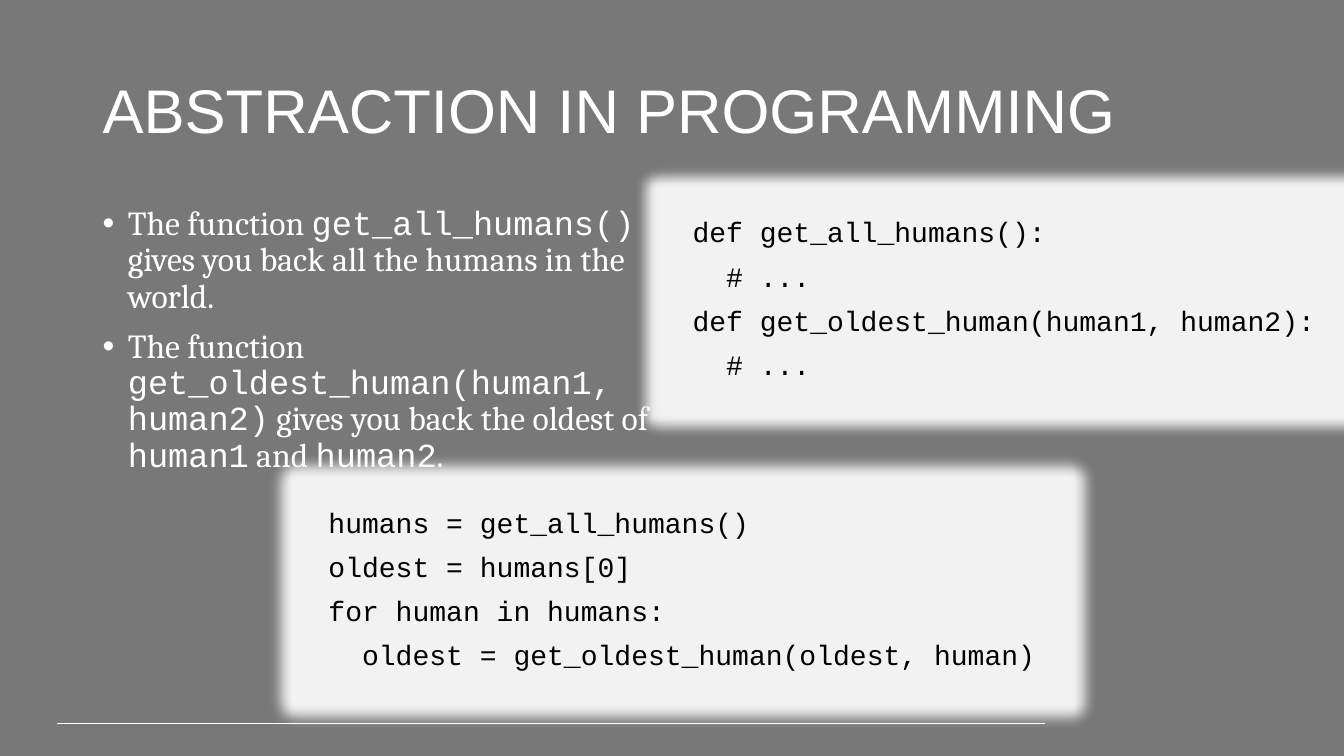
from lxml import etree
from pptx import Presentation
from pptx.dml.color import RGBColor
from pptx.enum.shapes import MSO_CONNECTOR, MSO_SHAPE
from pptx.enum.text import MSO_ANCHOR, PP_ALIGN
from pptx.oxml.ns import qn
from pptx.util import Inches, Pt

RECTANGLE = MSO_SHAPE.RECTANGLE
STRAIGHT = MSO_CONNECTOR.STRAIGHT
TOP, MIDDLE = MSO_ANCHOR.TOP, MSO_ANCHOR.MIDDLE
LEFT = PP_ALIGN.LEFT

COLORS = {"background": "787878", "light": "FFFFFF", "panel": "F2F2F2", "code": "000000"}
TITLE_FONT, BODY_FONT, CODE_FONT = "Arial", "Cambria", "Courier New"
GLOW_RADIUS = Inches(0.25)

TITLE = "ABSTRACTION IN PROGRAMMING"

# Each bullet alternates between prose and code, starting with prose.
BULLETS = [
    ["The function ", "get_all_humans()", " gives you back all the humans in the world."],
    ["The function ", "get_oldest_human(human1, human2)", " gives you back the oldest of ",
     "human1", " and ", "human2", "."],
]

CODE_PANELS = [
    ((6.77, 2.12, 6.38, 1.74), [
        "def get_all_humans():",
        "  # ...",
        "def get_oldest_human(human1, human2):",
        "  # ...",
    ]),
    ((3.16, 5, 7.23, 1.74), [
        "humans = get_all_humans()",
        "oldest = humans[0]",
        "for human in humans:",
        "  oldest = get_oldest_human(oldest, human)",
    ]),
]


def color(name):
    return RGBColor.from_string(COLORS[name])


def add_text_box(slide, box, anchor):
    frame = slide.shapes.add_textbox(*map(Inches, box)).text_frame
    frame.word_wrap = True
    frame.vertical_anchor = anchor
    return frame


def add_paragraphs(frame, count):
    """Yield left-aligned paragraphs, spaced apart after the first."""
    for index in range(count):
        paragraph = frame.add_paragraph() if index else frame.paragraphs[0]
        paragraph.alignment = LEFT
        paragraph.line_spacing = 0.9
        if index:
            paragraph.space_before = Pt(10)
        yield paragraph


def style(paragraph, size, color_name, font_name=None):
    font = paragraph.font
    font.size = Pt(size)
    font.color.rgb = color(color_name)
    if font_name:
        font.name = font_name


def add_bullet(paragraph):
    properties = paragraph._p.get_or_add_pPr()
    properties.set("marL", str(Inches(0.25)))
    properties.set("indent", str(-Inches(0.25)))
    etree.SubElement(properties, qn("a:buFont"), typeface="Arial")
    etree.SubElement(properties, qn("a:buChar"), char="•")


def add_glow(shape):
    effects = shape._element.spPr.find(qn("a:effectLst"))
    glow = etree.SubElement(effects, qn("a:glow"), rad=str(GLOW_RADIUS))
    etree.SubElement(glow, qn("a:srgbClr"), val=COLORS["panel"])


def add_title(slide):
    frame = add_text_box(slide, (0.92, 0.4, 11.5, 1.45), MIDDLE)
    for paragraph in add_paragraphs(frame, 1):
        paragraph.text = TITLE
        style(paragraph, 44, "light", TITLE_FONT)


def add_bullets(slide):
    frame = add_text_box(slide, (0.92, 2, 6.07, 2.79), TOP)
    for paragraph, pieces in zip(add_paragraphs(frame, len(BULLETS)), BULLETS):
        add_bullet(paragraph)
        style(paragraph, 24, "light")
        for index, piece in enumerate(pieces):
            run = paragraph.add_run()
            run.text = piece
            run.font.name = CODE_FONT if index % 2 else BODY_FONT


def add_code_panel(slide, box, lines):
    panel = slide.shapes.add_shape(RECTANGLE, *map(Inches, box))
    panel.shadow.inherit = False
    panel.fill.solid()
    panel.fill.fore_color.rgb = color("panel")
    panel.line.fill.background()
    add_glow(panel)
    frame = panel.text_frame
    frame.word_wrap = True
    frame.vertical_anchor = TOP
    for paragraph, line in zip(add_paragraphs(frame, len(lines)), lines):
        paragraph.text = line
        style(paragraph, 20, "code", CODE_FONT)


def add_footer_rule(slide):
    rule = slide.shapes.add_connector(
        STRAIGHT, Inches(0.57), Inches(7.18), Inches(10.36), Inches(7.18))
    rule.line.color.rgb = color("light")
    rule.line.width = Pt(0.75)
    etree.SubElement(rule._element.spPr, qn("a:effectLst"))


def main():
    presentation = Presentation()
    presentation.slide_width = Inches(13.33)
    presentation.slide_height = Inches(7.5)
    slide = presentation.slides.add_slide(presentation.slide_layouts[6])
    slide.background.fill.solid()
    slide.background.fill.fore_color.rgb = color("background")

    add_footer_rule(slide)
    add_title(slide)
    add_bullets(slide)
    for box, lines in CODE_PANELS:
        add_code_panel(slide, box, lines)
    presentation.save("out.pptx")


if __name__ == "__main__":
    main()
